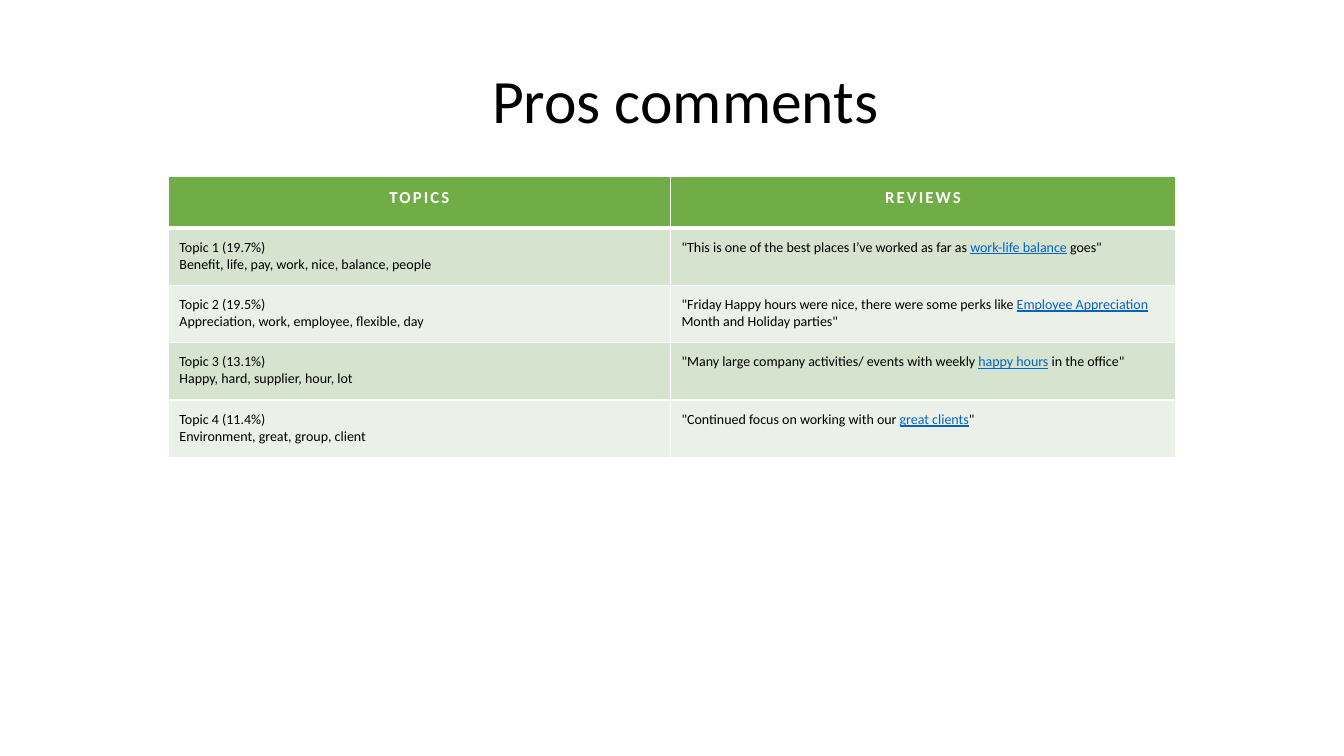
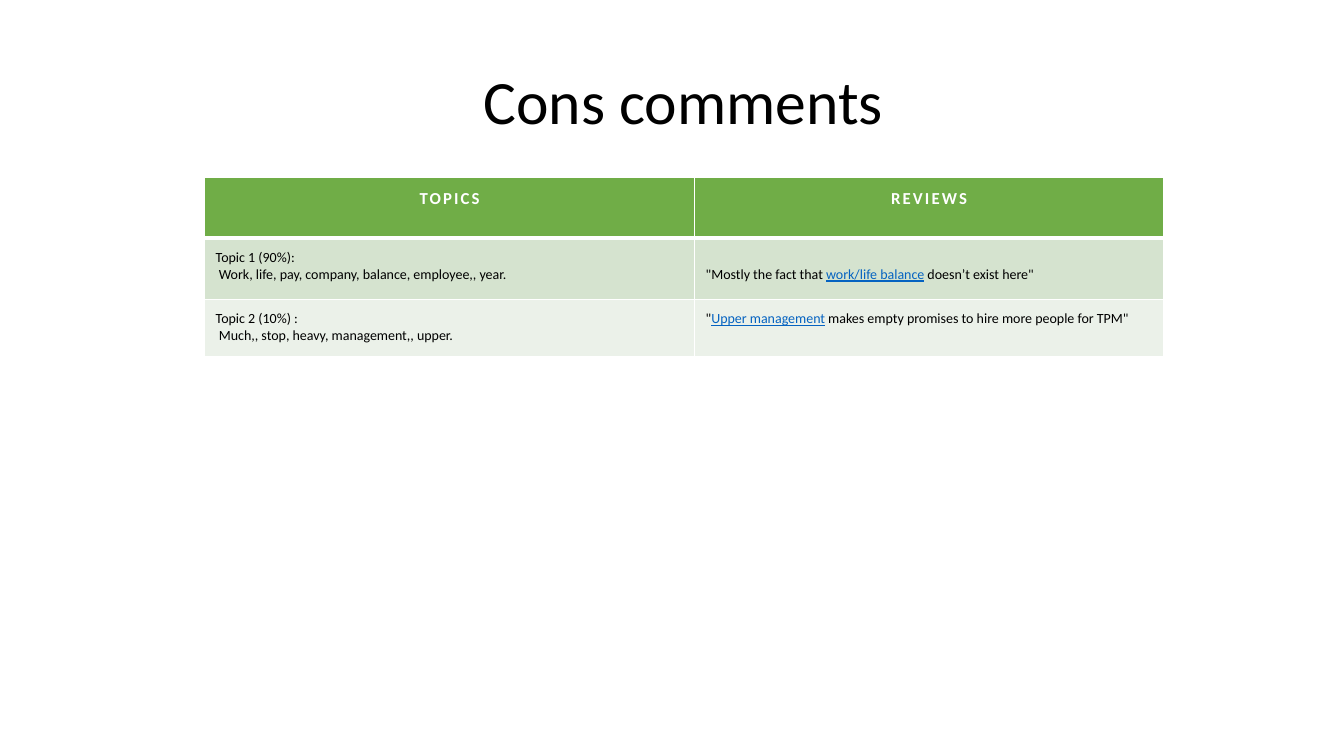
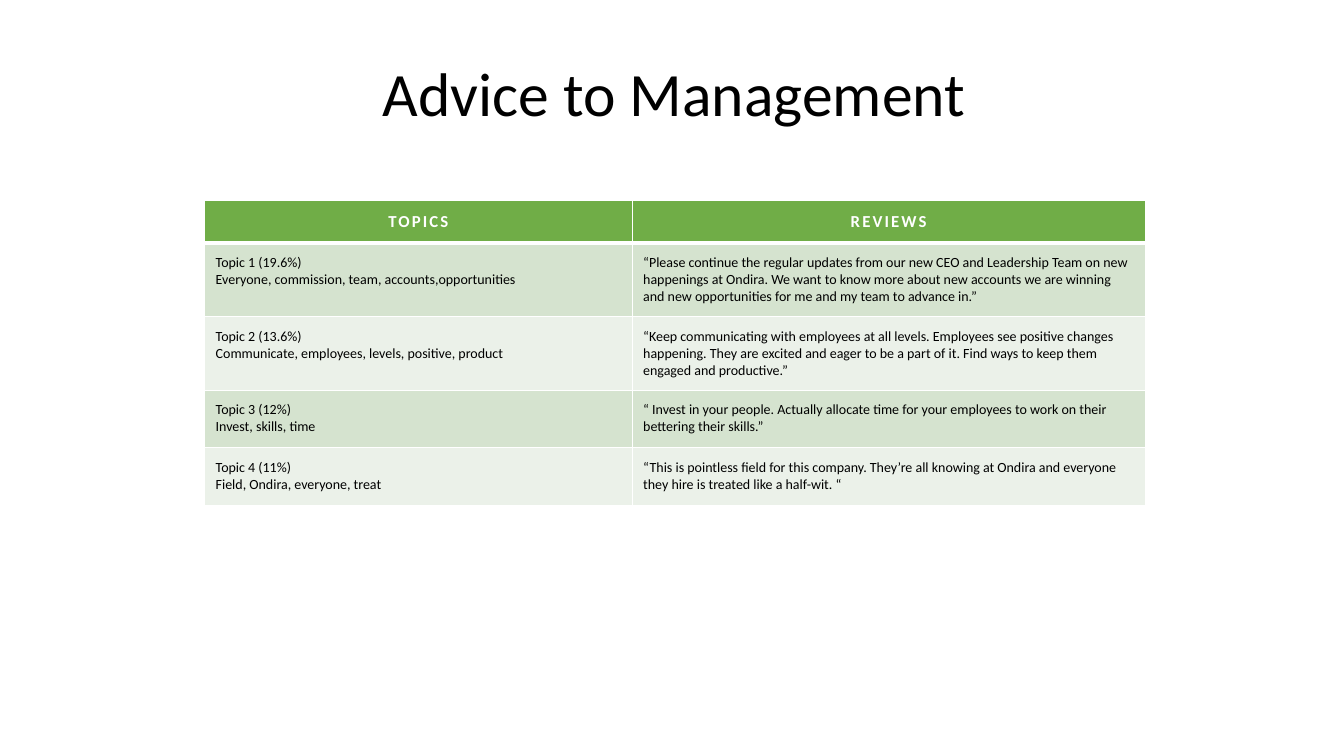
"""Build three slides of employee review topics, each a title over a two-column table."""
from dataclasses import dataclass

from lxml import etree
from pptx import Presentation
from pptx import util as u
from pptx.dml.color import RGBColor
from pptx.enum import text
from pptx.oxml.ns import qn

PX = 9144
FONT = "Calibri"
BLACK = RGBColor(0x00, 0x00, 0x00)
WHITE = RGBColor(0xFF, 0xFF, 0xFF)
GREEN = RGBColor(0x70, 0xAD, 0x47)
BANDS = (RGBColor(0xD5, 0xE3, 0xCF), RGBColor(0xEB, 0xF1, 0xE9))
LINK = RGBColor(0x05, 0x63, 0xC1)
HEADINGS = ("TOPICS", "REVIEWS")
TITLE_SIZE = (1150, 145)
MARGIN = 11
LINE = 17


@dataclass(frozen=True)
class Topic:
    """A topic with its keywords and a review whose middle part may be marked."""
    name: str
    words: str
    before: str
    marked: str = ""
    after: str = ""
    lines_down: int = 0


@dataclass(frozen=True)
class Page:
    """A title and a table, with places and sizes in px."""
    title: str
    title_at: tuple[int, int]
    table_at: tuple[int, int]
    cols: tuple[int, int]
    rows: tuple[int, ...]
    topics: tuple[Topic, ...]


PAGES = (
    Page("Pros comments", (105, 30), (167, 175), (498, 501), (51, 57, 57, 57, 57), (
        Topic("Topic 1 (19.7%)", "Benefit, life, pay, work, nice, balance, people",
              '"This is one of the best places I’ve worked as far as ',
              "work-life balance", ' goes"'),
        Topic("Topic 2 (19.5%)", "Appreciation, work, employee, flexible, day",
              '"Friday Happy hours were nice, there were some perks like ',
              "Employee Appreciation", ' Month and Holiday parties"'),
        Topic("Topic 3 (13.1%)", "Happy, hard, supplier, hour, lot",
              '"Many large company activities/ events with weekly ',
              "happy hours", ' in the office"'),
        Topic("Topic 4 (11.4%)", "Environment, great, group, client",
              '"Continued focus on working with our ', "great clients", '"'),
    )),
    Page("Cons comments", (103, 31), (203, 176), (486, 465), (60, 61, 57), (
        Topic("Topic 1 (90%):", " Work, life, pay, company, balance, employee,, year.",
              '"Mostly the fact that ', "work/life balance", ' doesn’t exist here"',
              lines_down=1),
        Topic("Topic 2 (10%) :", " Much,, stop, heavy, management,, upper.",
              '"', "Upper management",
              ' makes empty promises to hire more people for TPM"'),
    )),
    Page("Advice to Management", (94, 23), (203, 199), (424, 509), (42, 73, 73, 57, 57), (
        Topic("Topic 1 (19.6%)", "Everyone, commission, team, accounts,opportunities",
              "“Please continue the regular updates from our new CEO and Leadership Team "
              "on new happenings at Ondira. We want to know more about new accounts we are "
              "winning and new opportunities for me and my team to advance in.”"),
        Topic("Topic 2 (13.6%)", "Communicate, employees, levels, positive, product",
              "“Keep communicating with employees at all levels. Employees see positive "
              "changes happening. They are excited and eager to be a part of it. Find ways "
              "to keep them engaged and productive.”"),
        Topic("Topic 3 (12%)", "Invest, skills, time",
              "“ Invest in your people. Actually allocate time for your employees to work "
              "on their bettering their skills.”"),
        Topic("Topic 4 (11%)", "Field, Ondira, everyone, treat",
              "“This is pointless field for this company. They’re all knowing at Ondira "
              "and everyone they hire is treated like a half-wit. “"),
    )),
)


def px(n: int) -> u.Emu:
    """Turn px into EMU."""
    return u.Emu(n * PX)


def style_run(r, size: int, color: RGBColor, bold: bool = False) -> None:
    """Set the font of a run."""
    r.font.name = FONT
    r.font.size = u.Pt(size)
    r.font.bold = bold
    r.font.color.rgb = color


def set_border(cell, side: str, width: int) -> None:
    """Add one white border to a cell."""
    ln = etree.SubElement(cell._tc.get_or_add_tcPr(), qn(f"a:ln{side}"), w=str(u.Pt(width)))
    fill = etree.SubElement(ln, qn("a:solidFill"))
    etree.SubElement(fill, qn("a:srgbClr"), val=str(WHITE))


def style_cell(cell, row: int) -> None:
    """Set the margins, borders and fill that the row calls for."""
    cell.margin_left = cell.margin_right = px(MARGIN)
    cell.margin_top = cell.margin_bottom = px(MARGIN)
    widths = {"L": 1, "R": 1, "T": 3 if row == 1 else 1, "B": 3 if row == 0 else 1}
    for side, width in widths.items():
        set_border(cell, side, width)
    cell.fill.solid()
    cell.fill.fore_color.rgb = BANDS[(row - 1) % 2] if row else GREEN


def fill_heading(cell, heading: str) -> None:
    """Write a spaced, centred column heading."""
    p = cell.text_frame.paragraphs[0]
    p.text = heading
    p.alignment = text.PP_ALIGN.CENTER
    style_run(p.runs[0], 12, WHITE, bold=True)
    p.runs[0]._r.get_or_add_rPr().set("spc", "150")


def fill_topic(cell, topic: Topic) -> None:
    """Write the topic name above its keywords."""
    cell.text_frame.text = f"{topic.name}\n{topic.words}"
    for p in cell.text_frame.paragraphs:
        style_run(p.runs[0], 10, BLACK)


def fill_review(cell, topic: Topic) -> None:
    """Write the review with its marked part underlined."""
    cell.margin_top = px(MARGIN + LINE * topic.lines_down)
    p = cell.text_frame.paragraphs[0]
    for part in filter(None, (topic.before, topic.marked, topic.after)):
        r = p.add_run()
        r.text = part
        marked = part == topic.marked
        style_run(r, 10, LINK if marked else BLACK)
        r.font.underline = marked


def add_title(s, page: Page) -> None:
    """Move and format the title placeholder."""
    sp = s.shapes.title
    sp.left, sp.top = map(px, page.title_at)
    sp.width, sp.height = map(px, TITLE_SIZE)
    tf = sp.text_frame
    tf.text = page.title
    tf.word_wrap = True
    tf.auto_size = text.MSO_AUTO_SIZE.NONE
    tf.vertical_anchor = text.MSO_ANCHOR.MIDDLE
    p = tf.paragraphs[0]
    p.alignment = text.PP_ALIGN.CENTER
    p.line_spacing = 0.9
    style_run(p.runs[0], 44, BLACK)


def add_topics(s, page: Page) -> None:
    """Draw the table of topics and reviews."""
    table = s.shapes.add_table(
        len(page.rows), len(page.cols), *map(px, page.table_at),
        px(sum(page.cols)), px(sum(page.rows))).table
    for col, width in zip(table.columns, page.cols):
        col.width = px(width)
    for i, height in enumerate(page.rows):
        table.rows[i].height = px(height)
        for cell in table.rows[i].cells:
            style_cell(cell, i)
    for j, heading in enumerate(HEADINGS):
        fill_heading(table.cell(0, j), heading)
    for i, topic in enumerate(page.topics, 1):
        fill_topic(table.cell(i, 0), topic)
        fill_review(table.cell(i, 1), topic)


def main() -> None:
    """Build and save the presentation."""
    prs = Presentation()
    prs.slide_width, prs.slide_height = px(1333), px(750)
    for page in PAGES:
        s = prs.slides.add_slide(prs.slide_layouts[5])
        add_topics(s, page)
        add_title(s, page)
    prs.save("out.pptx")


if __name__ == "__main__":
    main()
